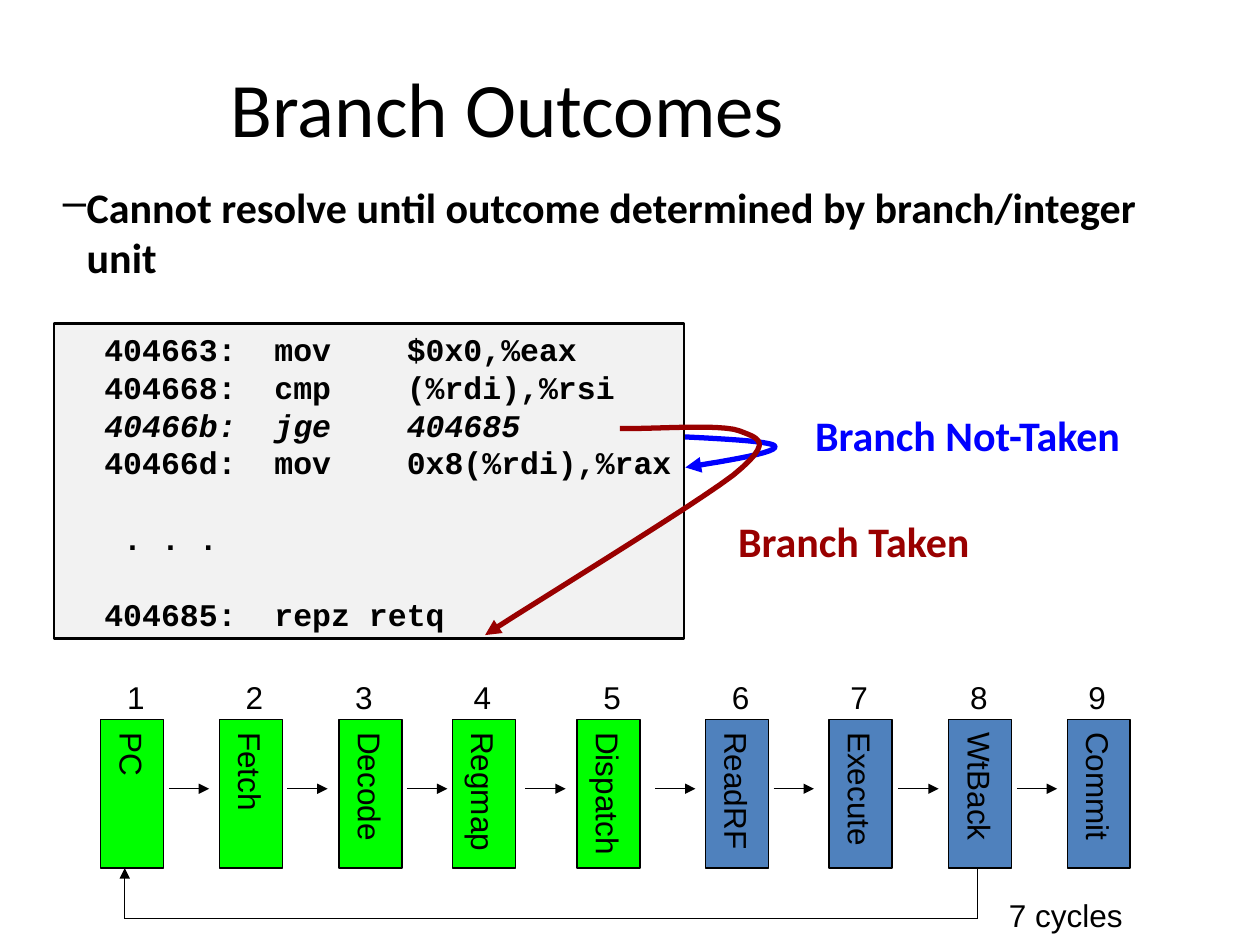
from lxml import etree
from pptx import Presentation
from pptx.dml.color import RGBColor
from pptx.enum.shapes import MSO_CONNECTOR, MSO_SHAPE
from pptx.enum.text import MSO_ANCHOR, PP_ALIGN
from pptx.oxml.ns import qn
from pptx.util import Inches, Pt

BLACK = RGBColor(0x00, 0x00, 0x00)
BLUE = RGBColor(0x00, 0x00, 0xFF)
DARK_RED = RGBColor(0x99, 0x00, 0x00)
PALE_GRAY = RGBColor(0xF2, 0xF2, 0xF2)
GREEN = RGBColor(0x00, 0xFF, 0x00)
STEEL_BLUE = RGBColor(0x4F, 0x81, 0xBD)

CODE = [
    ("  404663:  mov    $0x0,%eax", {}),
    ("  404668:  cmp    (%rdi),%rsi", {}),
    ("  40466b:  jge    404685", {"italic": True}),
    ("  40466d:  mov    0x8(%rdi),%rax", {}),
    ("   . . .", {"before": 21.6}),
    ("  404685:  repz retq", {"before": 21.6}),
]
NOT_TAKEN_CURVE = [
    (5.27, 3.46), (5.69, 3.48), (6.12, 3.5), (6.15, 3.54),
    (6.18, 3.59), (5.81, 3.65), (5.44, 3.71),
]
TAKEN_CURVE = [
    (4.92, 3.4), (5.12, 3.41), (5.72, 3.36), (5.87, 3.42), (6.02, 3.48),
    (6.15, 3.5), (5.82, 3.77), (5.48, 4.03), (4.18, 4.82), (3.85, 5.04),
]
STAGES = [
    ("PC", GREEN, 0, 0.11, 0.54),
    ("Fetch", GREEN, 0.94, 0.11, 0.54),
    ("Decode", GREEN, 1.89, 0.03, 0.54),
    ("Regmap", GREEN, 2.79, 0.07, 0.58),
    ("Dispatch", GREEN, 3.78, 0.11, 0.62),
    ("ReadRF", STEEL_BLUE, 4.8, 0.11, 0.54),
    ("Execute", STEEL_BLUE, 5.78, 0.07, 0.55),
    ("WtBack", STEEL_BLUE, 6.73, 0.07, 0.54),
    ("Commit", STEEL_BLUE, 7.67, 0.07, None),
]


def write(paragraph, text, font="Calibri", size=18, color=BLACK, bold=False,
          italic=False, align=PP_ALIGN.LEFT, before=0, spacing=None, bullet=None):
    if bullet:
        properties = paragraph._p.get_or_add_pPr()
        properties.set("marL", str(Inches(0.31)))
        properties.set("indent", str(Inches(-0.19)))
        etree.SubElement(properties, qn("a:buChar")).set("char", bullet)
    paragraph.alignment = align
    if before:
        paragraph.space_before = Pt(before)
    if spacing:
        paragraph.line_spacing = Pt(spacing)
    run = paragraph.add_run()
    run.text = text
    run.font.name = font
    run.font.size = Pt(size)
    run.font.color.rgb = color
    run.font.bold = bold
    run.font.italic = italic


def add_label(slide, box, text, wrap=True, anchor=MSO_ANCHOR.TOP, **text_format):
    frame = slide.shapes.add_textbox(*map(Inches, box)).text_frame
    frame.word_wrap = wrap
    frame.vertical_anchor = anchor
    write(frame.paragraphs[0], text, **text_format)


def add_panel(slide, box, fill, width):
    panel = slide.shapes.add_shape(MSO_SHAPE.RECTANGLE, *map(Inches, box))
    panel.shadow.inherit = False
    panel.fill.solid()
    panel.fill.fore_color.rgb = fill
    panel.line.color.rgb = BLACK
    panel.line.width = Pt(width)
    panel.text_frame.word_wrap = False
    return panel


def add_arrowhead(line):
    etree.SubElement(line._get_or_add_ln(), qn("a:tailEnd")).set("type", "triangle")


def add_line(slide, start, end, arrow=True):
    connector = slide.shapes.add_connector(
        MSO_CONNECTOR.STRAIGHT, *map(Inches, start + end))
    connector.line.color.rgb = BLACK
    connector.line.width = Pt(0.75)
    if arrow:
        add_arrowhead(connector.line)
    etree.SubElement(connector._element.spPr, qn("a:effectLst"))


def bezier_point(controls, t):
    weights = ((1 - t) ** 3, 3 * t * (1 - t) ** 2, 3 * t ** 2 * (1 - t), t ** 3)
    return tuple(Inches(sum(w * c[axis] for w, c in zip(weights, controls)))
                 for axis in (0, 1))


def add_curved_arrow(slide, controls, color, steps=12):
    points = [bezier_point(controls[first:first + 4], step / steps)
              for first in range(0, len(controls) - 1, 3)
              for step in range(1, steps + 1)]
    builder = slide.shapes.build_freeform(*map(Inches, controls[0]))
    builder.add_line_segments(points, close=False)
    curve = builder.convert_to_shape()
    curve.shadow.inherit = False
    curve.fill.background()
    curve.line.color.rgb = color
    curve.line.width = Pt(3)
    add_arrowhead(curve.line)


def add_heading(slide, left, top):
    add_label(slide, (left + 0.23, top, 7.04, 0.94), "Branch Outcomes",
              anchor=MSO_ANCHOR.MIDDLE, size=44, align=PP_ALIGN.CENTER)
    add_label(slide, (left, top + 1.01, 9.29, 1.1),
              "Cannot resolve until outcome determined by branch/integer unit",
              size=24, bold=True, bullet="–")


def add_listing(slide, left, top, width, height):
    add_curved_arrow(slide, NOT_TAKEN_CURVE, BLUE)
    frame = add_panel(slide, (left, top, width, height), PALE_GRAY, 1.5).text_frame
    frame.vertical_anchor = MSO_ANCHOR.TOP
    for index, (text, line_format) in enumerate(CODE):
        paragraph = frame.add_paragraph() if index else frame.paragraphs[0]
        write(paragraph, text, font="Courier New", bold=True, spacing=21.6,
              **line_format)
    add_curved_arrow(slide, TAKEN_CURVE, DARK_RED)
    right = left + width
    add_label(slide, (right + 0.94, top + 0.63, 2.69, 0.5), "Branch Not-Taken",
              wrap=False, size=24, color=BLUE, bold=True)
    add_label(slide, (right + 0.33, top + 1.47, 2.08, 0.5), "Branch Taken",
              wrap=False, size=24, color=DARK_RED, bold=True)


def add_stage(slide, box, name, fill):
    frame = add_panel(slide, box, fill, 0.75).text_frame
    frame.margin_left = frame.margin_right = Inches(0.05)
    frame.margin_top = frame.margin_bottom = Inches(0.1)
    frame.vertical_anchor = MSO_ANCHOR.MIDDLE
    frame._txBody.bodyPr.set("vert", "eaVert")
    write(frame.paragraphs[0], name, font="Arial", align=PP_ALIGN.CENTER)


def add_pipeline(slide, left, top, height):
    for number, (name, fill, offset, label_gap, arrow_gap) in enumerate(STAGES, 1):
        x = left + offset
        add_stage(slide, (x, top, 0.5, height), name, fill)
        add_label(slide, (x + label_gap, top - 0.38, 0.32, 0.4), str(number),
                  font="Arial")
        if arrow_gap:
            start = x + arrow_gap
            add_line(slide, (start, top + 0.55), (start + 0.32, top + 0.55))
    bottom = top + height
    loop = [(left + 6.96, bottom), (left + 6.96, bottom + 0.4),
            (left + 0.19, bottom + 0.4), (left + 0.19, bottom)]
    for index, (start, end) in enumerate(zip(loop, loop[1:])):
        add_line(slide, start, end, arrow=index == 2)
    add_label(slide, (left + 7.11, bottom + 0.17, 1.26, 0.4), "7 cycles", font="Arial")


def main():
    presentation = Presentation()
    presentation.slide_width = Inches(10)
    presentation.slide_height = Inches(7.5)
    slide = presentation.slides.add_slide(presentation.slide_layouts[6])
    add_heading(slide, 0.28, 0.38)
    add_listing(slide, 0.43, 2.57, 5, 2.5)
    add_pipeline(slide, 0.8, 5.71, 1.18)
    presentation.save("out.pptx")


if __name__ == "__main__":
    main()
